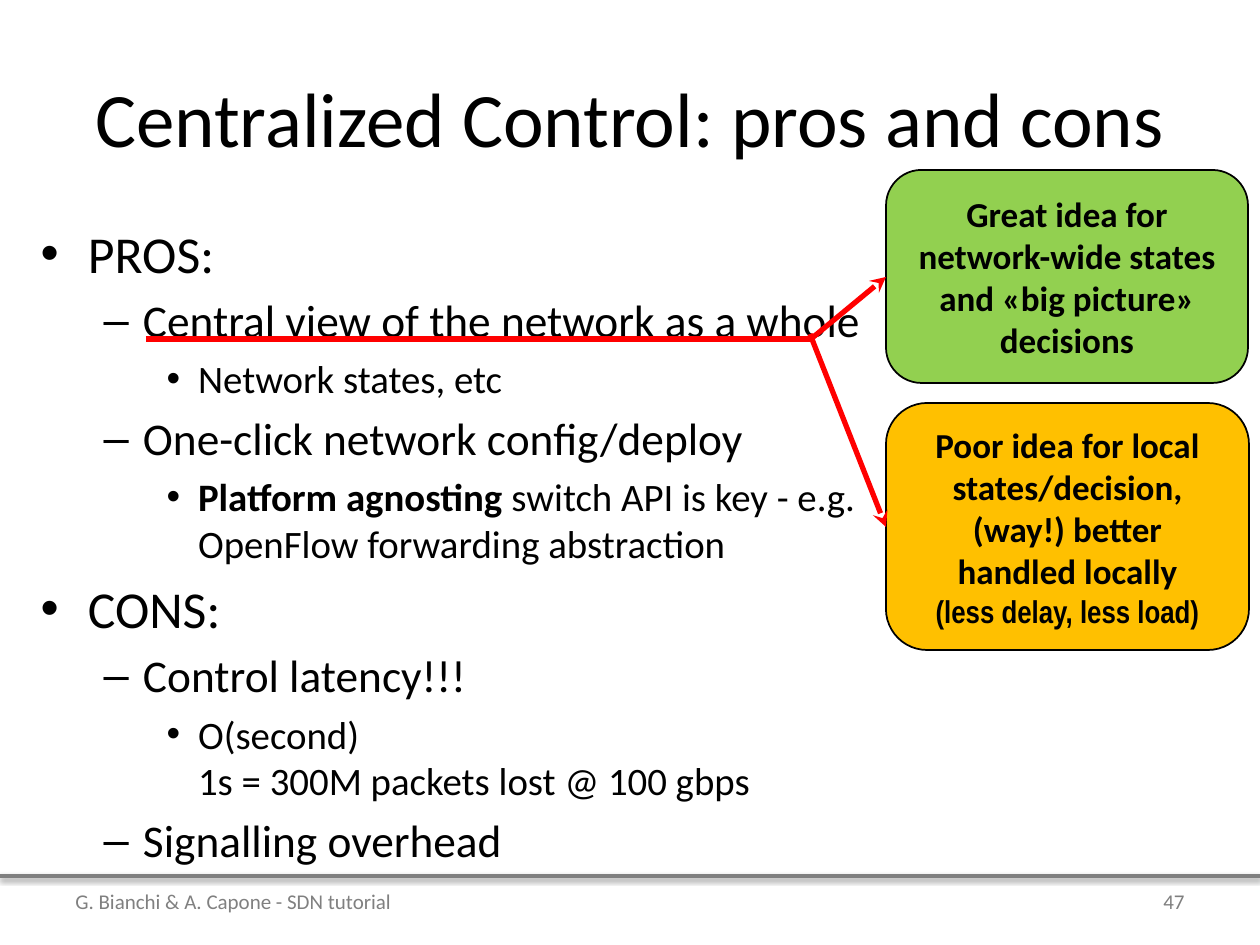
import pptx
import pptx.util
import pptx.dml.color
import pptx.enum.shapes
import pptx.enum.text
import pptx.oxml
import pptx.oxml.ns
from dataclasses import dataclass

ALIGN = pptx.enum.text.PP_ALIGN
MIDDLE = pptx.enum.text.MSO_ANCHOR.MIDDLE
NS = pptx.oxml.ns.nsdecls("a")


@dataclass(frozen=True)
class Theme:
    font: str = "Calibri"
    narrow: str = "Arial Narrow"
    ink: str = "000000"
    grey: str = "808080"
    page_grey: str = "7F7F7F"
    good: str = "92D050"
    poor: str = "FFC000"
    accent: str = "FF0000"
    title: float = 44
    levels: tuple = (29.6, 25.9, 22.2)
    callout: float = 20
    aside: float = 18
    footer: float = 12


class SlideBuilder:
    SCALE = 914400 / 126  # EMU per px

    def __init__(self, prs, theme):
        self.t = theme
        self.s = prs.slides.add_slide(prs.slide_layouts[1])

    def emu(self, *px):
        return [pptx.util.Emu(round(v * self.SCALE)) for v in px]

    def rgb(self, color):
        return pptx.dml.color.RGBColor.from_string(color)

    def place(self, sp, box):
        for name, value in zip(("left", "top", "width", "height"), self.emu(*box)):
            setattr(sp, name, value)

    def run(self, p, text, size, color=None, **fmt):
        """Add text as a run; newlines become line breaks."""
        values = {"name": self.t.font, "size": pptx.util.Pt(size), **fmt}
        for i, part in enumerate(text.split("\n")):
            if i:
                p.add_line_break()
            r = p.add_run()
            r.text = part
            for name, value in values.items():
                setattr(r.font, name, value)
            r.font.color.rgb = self.rgb(color or self.t.ink)

    def title(self, text, box):
        sp = self.s.shapes.title
        self.place(sp, box)
        self.run(sp.text_frame.paragraphs[0], text, self.t.title)

    def body(self, items, box):
        """Fill the body with (level, (text, bold), ...) items."""
        sp = self.s.placeholders[1]
        self.place(sp, box)
        tf = sp.text_frame
        tf.auto_size = pptx.enum.text.MSO_AUTO_SIZE.NONE
        for i, (level, *runs) in enumerate(items):
            p = tf.add_paragraph() if i else tf.paragraphs[0]
            p.level = level
            if i == 0:
                p.space_before = pptx.util.Pt(0)
            for text, bold in runs:
                self.run(p, text, self.t.levels[level], bold=bold)

    def callout(self, box, fill, lines):
        """Rounded box with bold centred (text, size, font) lines."""
        kind = pptx.enum.shapes.MSO_SHAPE.ROUNDED_RECTANGLE
        sp = self.s.shapes.add_shape(kind, *self.emu(*box))
        sp.shadow.inherit = False
        sp.fill.solid()
        sp.fill.fore_color.rgb = self.rgb(fill)
        sp.line.color.rgb = self.rgb(self.t.ink)
        sp.line.width = pptx.util.Pt(1)
        tf = sp.text_frame
        tf.word_wrap = True
        tf.vertical_anchor = MIDDLE
        for i, (text, size, font) in enumerate(lines):
            p = tf.add_paragraph() if i else tf.paragraphs[0]
            p.alignment = ALIGN.CENTER
            self.run(p, text, size, bold=True, name=font)

    def line(self, ends, color, width, arrow=False, shadow=""):
        kind = pptx.enum.shapes.MSO_CONNECTOR.STRAIGHT
        c = self.s.shapes.add_connector(kind, *self.emu(*ends))
        c.line.color.rgb = self.rgb(color)
        c.line.width = pptx.util.Pt(width)
        if arrow:
            c.line._get_or_add_ln().append(
                pptx.oxml.parse_xml(f'<a:tailEnd {NS} type="stealth"/>'))
        c._element.spPr.append(
            pptx.oxml.parse_xml(f"<a:effectLst {NS}>{shadow}</a:effectLst>"))

    def label(self, text, box, color, align):
        tf = self.s.shapes.add_textbox(*self.emu(*box)).text_frame
        tf.word_wrap = True
        tf.vertical_anchor = MIDDLE
        p = tf.paragraphs[0]
        p.alignment = align
        self.run(p, text, self.t.footer, color)


def main():
    prs = pptx.Presentation()
    prs.slide_width, prs.slide_height = pptx.util.Inches(10), pptx.util.Inches(7.5)
    t = Theme()
    b = SlideBuilder(prs, t)

    # Footer rule with a soft shadow
    shadow = ('<a:outerShdw blurRad="39370" dist="20320" dir="5400000">'
              f'<a:srgbClr val="{t.ink}"><a:alpha val="38000"/></a:srgbClr>'
              '</a:outerShdw>')
    b.line((0, 876, 1260, 876), t.grey, 2, shadow=shadow)

    # Title and list
    b.title("Centralized Control: pros and cons", (63, 38, 1134, 157))
    b.body([
        (0, ("PROS:", False)),
        (1, ("Central view of the network as a whole", False)),
        (2, ("Network states, etc", False)),
        (1, ("One-click network config/deploy", False)),
        (2, ("Platform agnosting ", True),
            ("switch API is key - e.g. OpenFlow forwarding abstraction", False)),
        (0, ("CONS:", False)),
        (1, ("Control latency!!!", False)),
        (2, ("O(second)\n1s = 300M packets lost @ 100 gbps", False)),
        (1, ("Signalling overhead", False)),
    ], (28, 215, 888, 645))

    # Verdicts on the central view
    b.callout((886, 170, 362, 213), t.good, [
        ("Great idea for network-wide states and «big picture» decisions",
         t.callout, t.font)])
    b.callout((886, 403, 363, 247), t.poor, [
        ("Poor idea for local states/decision, (way!) better handled locally",
         t.callout, t.font),
        ("(less delay, less load)", t.aside, t.narrow)])

    # Underline and arrows to the verdicts
    b.line((146, 339, 811, 339), t.accent, 3)
    b.line((811, 339, 886, 277), t.accent, 3, arrow=True)
    b.line((810, 334, 886, 527), t.accent, 3, arrow=True)

    # Footer
    b.label("G. Bianchi & A. Capone - SDN tutorial", (63, 876, 766, 50),
            t.grey, ALIGN.LEFT)
    b.label("47", (903, 876, 294, 50), t.page_grey, ALIGN.RIGHT)

    prs.save("out.pptx")


if __name__ == "__main__":
    main()
